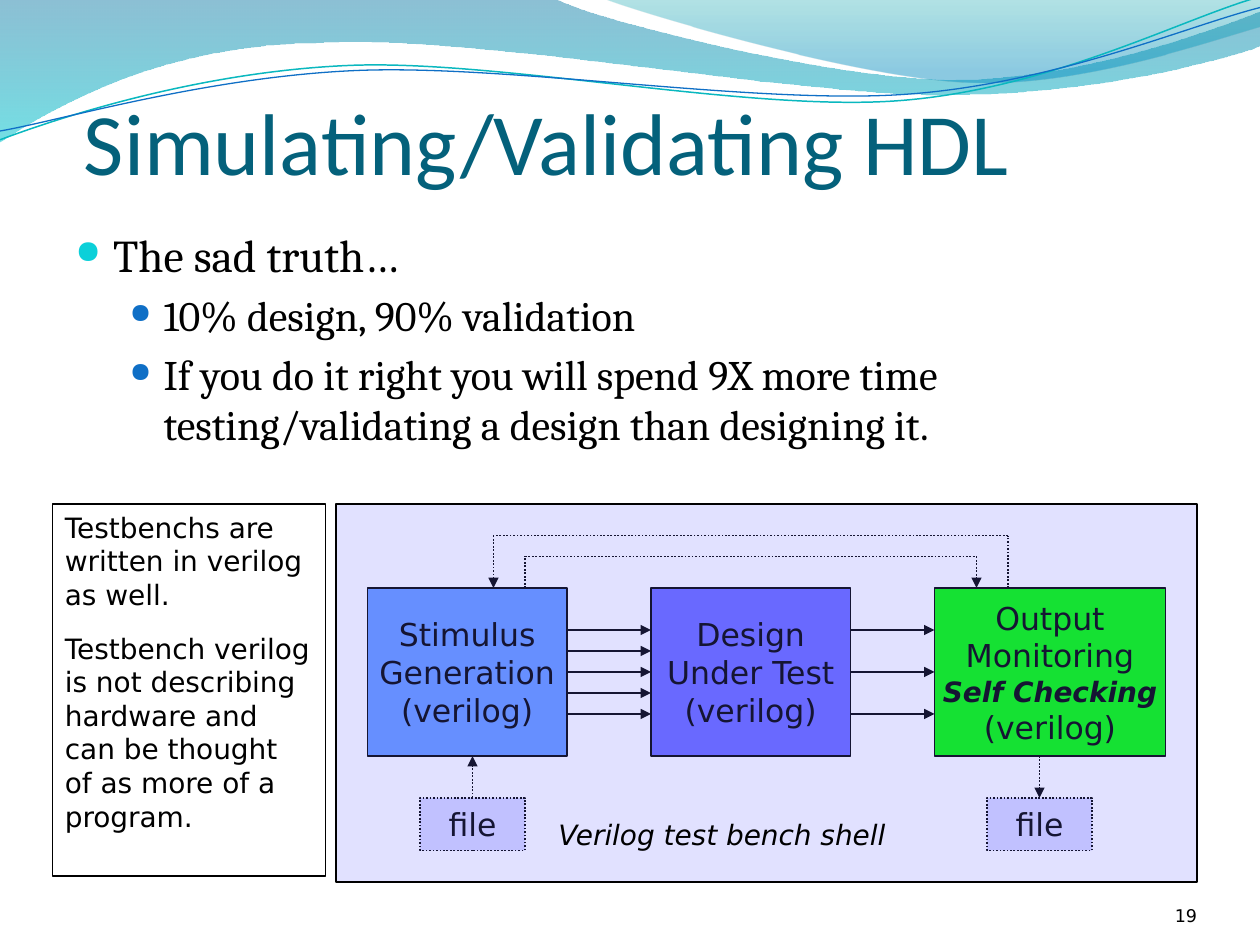
import dataclasses

import pptx
import pptx.dml.color
import pptx.enum.dml
import pptx.enum.shapes
import pptx.enum.text
import pptx.oxml.ns
import pptx.util
from lxml import etree
from pptx.util import Inches, Pt

ALIGN = pptx.enum.text.PP_ALIGN
ANCHOR = pptx.enum.text.MSO_ANCHOR
GRID = 1 / 12  # inches per step of the diagram grid


@dataclasses.dataclass(frozen=True)
class Theme:
    title_font: str = "Calibri"
    body_font: str = "Cambria"
    diagram_font: str = "DejaVu Sans"
    title_size: float = 50
    body_size: float = 26
    sub_size: float = 24
    block_size: float = 18
    note_size: float = 16
    number_size: float = 10
    title: str = "04617B"
    ink: str = "000000"
    bullet: str = "0BD0D9"
    sub_bullet: str = "0F6FC6"
    stimulus: str = "6699FF"
    shell: str = "6969FF"
    output: str = "00FF00"
    wave_line: str = "0AB8BF"


THEME = Theme()


def rgb(value):
    return pptx.dml.color.RGBColor.from_string(value)


def add_element(parent, tag, **attributes):
    return etree.SubElement(parent, pptx.oxml.ns.qn(tag), attributes)


def set_alpha(color_element, percent):
    add_element(color_element, "a:alpha", val=str(percent * 1000))


def style_line(line, color=THEME.ink, width=1, dotted=False):
    line.color.rgb = rgb(color)
    line.width = Pt(width)
    if dotted:
        line.dash_style = pptx.enum.dml.MSO_LINE.ROUND_DOT


def add_run(paragraph, text, font, size, color=THEME.ink, bold=False, italic=False):
    run = paragraph.add_run()
    run.text = text
    run.font.name, run.font.size = font, Pt(size)
    run.font.color.rgb = rgb(color)
    run.font.bold, run.font.italic = bold, italic


def add_text_box(slide, left, top, width, height, anchor=ANCHOR.TOP, insets=None, wrap=True):
    shape = slide.shapes.add_textbox(Inches(left), Inches(top), Inches(width), Inches(height))
    frame = shape.text_frame
    frame.word_wrap, frame.vertical_anchor = wrap, anchor
    if insets:
        (frame.margin_left, frame.margin_top,
         frame.margin_right, frame.margin_bottom) = map(Inches, insets)
    return frame


def add_box(slide, left, top, width, height, fill=None, alpha=None, dotted=False):
    shape = slide.shapes.add_shape(
        pptx.enum.shapes.MSO_SHAPE.RECTANGLE,
        Inches(left), Inches(top), Inches(width), Inches(height))
    shape.shadow.inherit = False
    style_line(shape.line, dotted=dotted)
    if fill:
        shape.fill.solid()
        shape.fill.fore_color.rgb = rgb(fill)
    else:
        shape.fill.background()
    if alpha:
        set_alpha(shape.fill._xPr.find(".//" + pptx.oxml.ns.qn("a:srgbClr")), alpha)
    return shape


def add_block(slide, left, top, width, height, lines, fill, **style):
    """Box with centred lines; a line starting with * is emphasised."""
    frame = add_box(slide, left, top, width, height, fill, **style).text_frame
    frame.word_wrap, frame.vertical_anchor = False, ANCHOR.MIDDLE
    for index, line in enumerate(lines):
        paragraph = frame.paragraphs[0] if index == 0 else frame.add_paragraph()
        paragraph.alignment = ALIGN.CENTER
        strong = line.startswith("*")
        add_run(paragraph, line.lstrip("*"), THEME.diagram_font,
                THEME.note_size if strong else THEME.block_size, bold=strong, italic=strong)


def add_route(slide, left, top, points, dotted=False):
    """Straight connectors through grid points, with an arrowhead on the last."""
    places = [(Inches(left + x * GRID), Inches(top + y * GRID)) for x, y in points]
    for start, end in zip(places, places[1:]):
        connector = slide.shapes.add_connector(
            pptx.enum.shapes.MSO_CONNECTOR.STRAIGHT, *start, *end)
        style_line(connector.line, dotted=dotted)
        if end == places[-1]:
            add_element(connector.line._get_or_add_ln(), "a:tailEnd", type="triangle")
        add_element(connector._element.spPr, "a:effectLst")


def add_wave(slide, start, segments, closed):
    """Freeform whose six-number segments are cubic curves, the others straight."""
    builder = slide.shapes.build_freeform(*map(Inches, start))
    for segment in segments:
        lengths = [Inches(value) for value in segment]
        builder.add_line_segments(list(zip(lengths[::2], lengths[1::2])), close=False)
    if closed:
        builder.add_line_segments([], close=True)
    shape = builder.convert_to_shape()
    shape.shadow.inherit = False
    steps = iter(list(shape._element.iter(pptx.oxml.ns.qn("a:lnTo"))))
    for segment in segments:
        group = [next(steps) for _ in segment[::2]]
        if len(group) == 3:
            curve = etree.Element(pptx.oxml.ns.qn("a:cubicBezTo"))
            group[0].addprevious(curve)
            for step in group:
                curve.append(step[0])
                step.getparent().remove(step)
    return shape


def add_header_waves(slide):
    bands = [
        ((0, -0.01), [(4.4, -0.01), (4.76, 0.17, 6.64, 0.63, 7.58, 0.63),
                      (8.53, 0.63, 9.58, 0.26, 10, 0.09), (10.01, 0.36),
                      (9.83, 0.44, 8.7, 0.76, 7.46, 0.75),
                      (6.22, 0.75, 3.82, 0.28, 2.57, 0.34),
                      (1.29, 0.35, 0.46, 0.83, -0.01, 1.13)],
         [(0, "0074A1", 45), (1, "00C6CF", 55)]),
        ((4.79, -0.01), [(5.09, 0.11, 6.82, 0.62, 7.69, 0.65),
                         (8.56, 0.69, 9.61, 0.32, 10, 0.21), (10, 0)],
         [(0, "00A1A9", 30), (0.8, "008BBF", 45)]),
    ]
    for start, segments, stops in bands:
        shape = add_wave(slide, start, segments, closed=True)
        shape.line.fill.background()
        shape.fill.gradient()
        shape.fill.gradient_angle = 270
        for stop, (position, color, alpha) in zip(shape.fill.gradient_stops, stops):
            stop.position = position
            stop.color.rgb = rgb(color)
            set_alpha(stop._gs.find(pptx.oxml.ns.qn("a:srgbClr")), alpha)
    strands = [
        ((0, 1.11), [(0.48, 0.93, 1.58, 0.57, 2.77, 0.52), (3.95, 0.47, 5.93, 0.89, 7.13, 0.8),
                     (8.33, 0.71, 9.38, 0.15, 9.98, -0.02)], THEME.wave_line, 0.85),
        ((0, 1.04), [(0.47, 0.96, 1.64, 0.61, 2.83, 0.56), (4.03, 0.51, 5.97, 0.83, 7.17, 0.75),
                     (8.36, 0.67, 9.41, 0.21, 10, 0.06)], THEME.sub_bullet, 0.75),
    ]
    for start, segments, color, width in strands:
        shape = add_wave(slide, start, segments, closed=False)
        shape.fill.background()
        style_line(shape.line, color, width)


def add_title(slide, left, top, width, height):
    frame = add_text_box(slide, left, top, width, height, ANCHOR.BOTTOM, (0, 0.05, 0, 0))
    add_run(frame.paragraphs[0], "Simulating/Validating HDL",
            THEME.title_font, THEME.title_size, THEME.title)


def add_bullets(slide, left, top, width, height):
    frame = add_text_box(slide, left, top, width, height)
    main_style = (0, THEME.body_size, 0.3, -0.3, THEME.bullet, 71)
    sub_style = (1, THEME.sub_size, 0.7, -0.27, THEME.sub_bullet, 66)
    items = [("The sad truth…", main_style), ("10% design, 90% validation", sub_style),
             ("If you do it right you will spend 9X more time "
              "testing/validating a design than designing it.", sub_style)]
    for index, (text, (level, size, margin, indent, color, scale)) in enumerate(items):
        paragraph = frame.paragraphs[0] if index == 0 else frame.add_paragraph()
        paragraph.level = level
        paragraph.space_before = Pt(size * 0.2)
        properties = paragraph._p.get_or_add_pPr()
        properties.set("marL", str(Inches(margin)))
        properties.set("indent", str(Inches(indent)))
        add_element(add_element(properties, "a:buClr"), "a:srgbClr", val=color)
        add_element(properties, "a:buSzPct", val=str(scale * 1000))
        add_element(properties, "a:buChar", char="●")
        add_run(paragraph, text, THEME.body_font, size)


def add_test_bench(slide, left, top, width, height):
    def block(x, y, columns, rows, *content, **style):
        add_block(slide, left + x * GRID, top + y * GRID, columns * GRID, rows * GRID,
                  *content, **style)

    block(30, 8, 19, 16, ["Design", "Under Test", "(verilog)"], THEME.shell)
    block(3, 8, 19, 16, ["Stimulus", "Generation", "(verilog)"], THEME.stimulus)
    block(57, 8, 22, 16, ["Output", "Monitoring", "*Self Checking", "(verilog)"], THEME.output)
    for start, end, step in ((22, 30, 2), (49, 57, 4)):
        for y in range(12, 21, step):
            add_route(slide, left, top, [(start, y), (end, y)])
    for start, end, y in ((18, 61, 5), (64, 15, 3)):
        add_route(slide, left, top, [(start, 8), (start, y), (end, y), (end, 8)], dotted=True)
    for x in (8, 62):
        block(x, 28, 10, 5, ["file"], THEME.shell, alpha=26, dotted=True)
    for x, start, end in ((13, 28, 24), (67, 24, 28)):
        add_route(slide, left, top, [(x, start), (x, end)], dotted=True)
    add_box(slide, left, top, width, height, THEME.shell, alpha=20)
    caption = add_text_box(slide, left + 20 * GRID, top + 2.44, 2.81, 0.37, wrap=False)
    add_run(caption.paragraphs[0], "Verilog test bench shell",
            THEME.diagram_font, THEME.note_size, italic=True)


def add_side_note(slide, left, top, width, height):
    frame = add_box(slide, left, top, width, height).text_frame
    frame.word_wrap, frame.vertical_anchor = True, ANCHOR.TOP
    frame.margin_right = Inches(0.11)
    for text, gap in (("Testbenchs are written in verilog as well.", 0),
                      ("Testbench verilog is not describing hardware and "
                       "can be thought of as more of a program.", 11.6)):
        paragraph = frame.add_paragraph() if gap else frame.paragraphs[0]
        paragraph.space_before, paragraph.alignment = Pt(gap), ALIGN.LEFT
        add_run(paragraph, text, THEME.diagram_font, THEME.note_size)


def add_slide_number(slide, left, top, width, height):
    frame = add_text_box(slide, left, top, width, height, ANCHOR.BOTTOM, (0, 0, 0, 0))
    frame.paragraphs[0].alignment = ALIGN.RIGHT
    add_run(frame.paragraphs[0], "19", THEME.diagram_font, THEME.number_size)


def main():
    presentation = pptx.Presentation()
    presentation.slide_width, presentation.slide_height = Inches(10), Inches(7.5)
    slide = presentation.slides.add_slide(presentation.slide_layouts[6])
    add_header_waves(slide)
    add_title(slide, 8 * GRID, 0.28, 9, 1.25)
    add_bullets(slide, 0.5, 1.75, 9, 2.08)
    add_slide_number(slide, 8.67, 6.95, 0.83, 0.4)
    add_test_bench(slide, 32 * GRID, 4, 82 * GRID, 3)
    add_side_note(slide, 5 * GRID, 4, 26 * GRID, 2.95)
    presentation.save("out.pptx")


if __name__ == "__main__":
    main()
